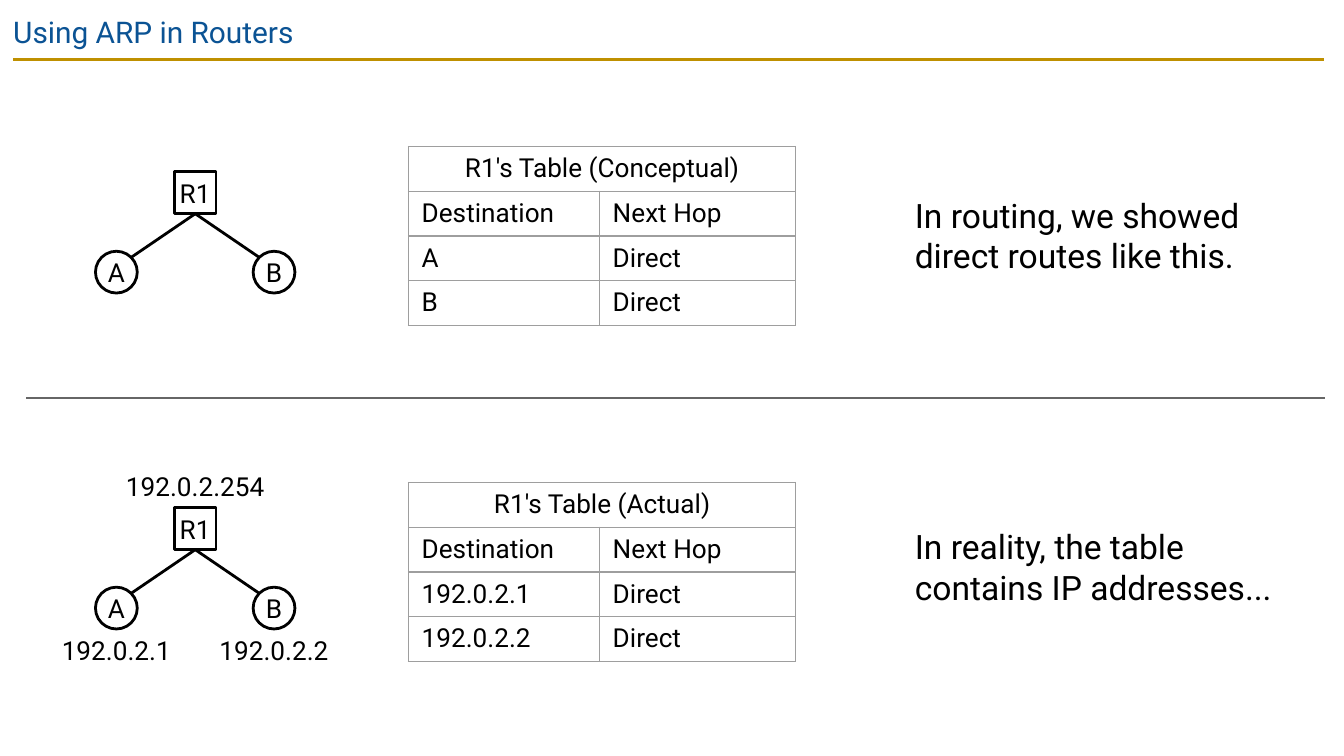
import math

import pptx
import pptx.dml.color
import pptx.enum.shapes
import pptx.enum.text
import pptx.oxml
import pptx.oxml.ns
import pptx.oxml.xmlchemy
import pptx.util

Cm = pptx.util.Cm
COLORS = {"title": "0B5394", "rule": "BF9000", "ink": "000000",
          "paper": "FFFFFF", "grid": "9E9E9E", "divider": "666666"}
FONT = "Roboto"
SHAPE = pptx.enum.shapes.MSO_SHAPE
ALIGN = pptx.enum.text.PP_ALIGN
ANCHOR = pptx.enum.text.MSO_ANCHOR

NODE = 0.79         # side of a router, diameter of a host
LABEL_H = 0.61
LABEL_GAP = 0.1
ROW_H = 0.71
COL_WIDTHS = (3.61, 3.71)


def rgb(name):
    return pptx.dml.color.RGBColor.from_string(COLORS[name])


def write(tf, text, size, color="ink", align=ALIGN.LEFT, inset=0.0, anchor=ANCHOR.TOP):
    tf.word_wrap = True
    tf.auto_size = pptx.enum.text.MSO_AUTO_SIZE.NONE
    tf.margin_left = tf.margin_right = tf.margin_top = tf.margin_bottom = Cm(inset)
    tf.vertical_anchor = anchor
    add_run(tf.paragraphs[0], text, size, color, align)


def add_run(p, text, size, color="ink", align=ALIGN.LEFT):
    p.alignment = align
    r = p.add_run()
    r.text = text
    r.font.name = FONT
    r.font.size = pptx.util.Pt(size)
    r.font.color.rgb = rgb(color)


def add_line(s, x1, y1, x2, y2, color, width):
    line = s.shapes.add_connector(pptx.enum.shapes.MSO_CONNECTOR.STRAIGHT,
                                  Cm(x1), Cm(y1), Cm(x2), Cm(y2))
    line.line.color.rgb = rgb(color)
    line.line.width = pptx.util.Pt(width)
    line._element.spPr.append(pptx.oxml.xmlchemy.OxmlElement("a:effectLst"))


def add_text(s, x, y, w, h, text, size, **style):
    sp = s.shapes.add_textbox(Cm(x), Cm(y), Cm(w), Cm(h))
    write(sp.text_frame, text, size, **style)


def add_node(s, kind, cx, y, name):
    sp = s.shapes.add_shape(kind, Cm(cx - NODE / 2), Cm(y), Cm(NODE), Cm(NODE))
    sp.shadow.inherit = False
    sp.fill.solid()
    sp.fill.fore_color.rgb = rgb("paper")
    sp.line.color.rgb = rgb("ink")
    sp.line.width = pptx.util.Pt(1.5)
    write(sp.text_frame, name, 14, align=ALIGN.CENTER, anchor=ANCHOR.MIDDLE)


def add_label(s, cx, y, w, text):
    add_text(s, cx - w / 2, y, w, LABEL_H, text, 14, align=ALIGN.CENTER)


def add_network(s, cx, y, router_ip=None, host_ips=(None, None)):
    """Router at the top centre, with one host below it on either side."""
    host_y = y + 1.5
    add_node(s, SHAPE.RECTANGLE, cx, y, "R1")
    if router_ip:
        add_label(s, cx, y - LABEL_GAP - LABEL_H, 2.74, router_ip)
    reach = NODE / 2 * math.sqrt(0.5)
    for side, name, ip in zip((-1, 1), "AB", host_ips):
        host_x = cx + side * 1.49
        add_line(s, host_x - side * reach, host_y + NODE / 2 - reach,
                 cx, y + NODE, "ink", 1.5)
        add_node(s, SHAPE.OVAL, host_x, host_y, name)
        if ip:
            add_label(s, host_x, host_y + NODE + LABEL_GAP, 2.18, ip)


def set_borders(cell):
    tcPr = cell._tc.get_or_add_tcPr()
    for side in ("lnL", "lnR", "lnT", "lnB"):
        tcPr.append(pptx.oxml.parse_xml(
            f'<a:{side} {pptx.oxml.ns.nsdecls("a")} w="9525"><a:solidFill>'
            f'<a:srgbClr val="{COLORS["grid"]}"/></a:solidFill></a:{side}>'))


def add_route_table(s, x, y, heading, destinations):
    rows = [(heading, ""), ("Destination", "Next Hop")]
    rows += [(d, "Direct") for d in destinations]
    frame = s.shapes.add_table(len(rows), 2, Cm(x), Cm(y),
                               Cm(sum(COL_WIDTHS)), Cm(ROW_H * len(rows)))
    table = frame.table
    table.first_row = table.horz_banding = False
    for column, width in zip(table.columns, COL_WIDTHS):
        column.width = Cm(width)
    table.cell(0, 0).merge(table.cell(0, 1))
    for i, row in enumerate(rows):
        table.rows[i].height = Cm(ROW_H)
        for j, text in enumerate(row):
            cell = table.cell(i, j)
            cell.margin_left = cell.margin_right = Cm(0.25)
            cell.margin_top = cell.margin_bottom = Cm(0.13)
            set_borders(cell)
            cell.fill.background()
            if text:
                add_run(cell.text_frame.paragraphs[0], text, 14,
                        align=ALIGN.LEFT if i else ALIGN.CENTER)


def add_panel(s, y, heading, destinations, note, note_dy, note_w, **addresses):
    """One half of the slide: network, routing table and remark."""
    add_network(s, 3.69, y + 0.48, **addresses)
    add_route_table(s, 7.72, y, heading, destinations)
    add_text(s, 17.04, y + note_dy, note_w, 2.06, note, 18, inset=0.25)


def add_title(s, text):
    title = s.shapes.title
    title.left, title.top, title.width, title.height = Cm(0), Cm(0), Cm(25.4), Cm(1.09)
    write(title.text_frame, text, 16, color="title", inset=0.25)
    add_line(s, 0.25, 1.12, 25.02, 1.12, "rule", 1.5)


def main():
    prs = pptx.Presentation()
    prs.slide_width, prs.slide_height = Cm(25.4), Cm(14.29)
    s = prs.slides.add_slide(prs.slide_layouts[5])
    s.background.fill.solid()
    s.background.fill.fore_color.rgb = rgb("paper")

    add_title(s, "Using ARP in Routers")
    add_panel(s, 2.77, "R1's Table (Conceptual)", ("A", "B"),
              "In routing, we showed direct routes like this.", 0.66, 6.68)
    host_ips = ("192.0.2.1", "192.0.2.2")
    add_panel(s, 9.12, "R1's Table (Actual)", host_ips,
              "In reality, the table contains IP addresses...", 0.58, 7.32,
              router_ip="192.0.2.254", host_ips=host_ips)
    add_line(s, 0.5, 7.52, 25.04, 7.52, "divider", 0.75)
    prs.save("out.pptx")


if __name__ == "__main__":
    main()
